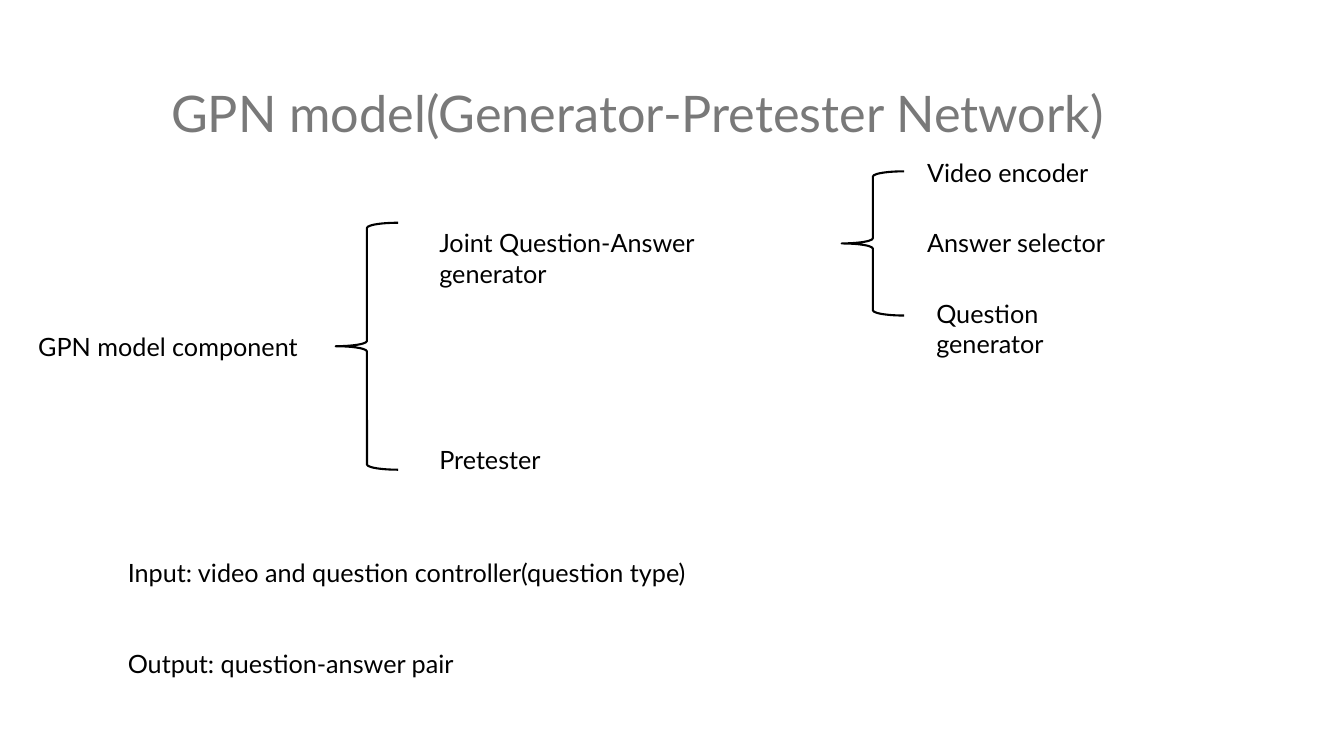
import pptx
import pptx.util
import pptx.dml.color
import pptx.enum.shapes
import pptx.enum.text

Pt = pptx.util.Pt
COLORS = {"title": "797979", "text": "000000", "line": "000000", "fill": "FFFFFF"}
FONT = "Lato"
LABEL_HEIGHT = 29
BRACE_WIDTH = 44.6


def color(name):
    return pptx.dml.color.RGBColor.from_string(COLORS[name])


def add_text(slide, text, left, top, width, height=LABEL_HEIGHT, size=18,
             color_name="text", line_spacing=None, gap=0,
             anchor=pptx.enum.text.MSO_ANCHOR.TOP):
    shape = slide.shapes.add_textbox(Pt(left), Pt(top), Pt(width), Pt(height))
    frame = shape.text_frame
    frame.word_wrap = True
    frame.vertical_anchor = anchor
    frame.text = text
    for index, paragraph in enumerate(frame.paragraphs):
        paragraph.font.name = FONT
        paragraph.font.size = Pt(size)
        paragraph.font.color.rgb = color(color_name)
        if line_spacing:
            paragraph.line_spacing = line_spacing
        if index and gap:
            paragraph.space_before = Pt(gap)


def add_brace(slide, left, top, height):
    shape = slide.shapes.add_shape(
        pptx.enum.shapes.MSO_SHAPE.LEFT_BRACE,
        Pt(left), Pt(top), Pt(BRACE_WIDTH), Pt(height))
    shape.shadow.inherit = False
    shape.fill.solid()
    shape.fill.fore_color.rgb = color("fill")
    shape.line.color.rgb = color("line")
    shape.line.width = Pt(1.5)


def add_title(slide, left, top, width, height):
    add_text(slide, "GPN model(Generator-Pretester Network)", left, top, width, height,
             size=36, color_name="title", line_spacing=0.9,
             anchor=pptx.enum.text.MSO_ANCHOR.MIDDLE)


def add_branch(slide, left, top, height, labels):
    add_brace(slide, left, top, height)
    for text, indent, offset, width in labels:
        add_text(slide, text, left + BRACE_WIDTH + indent, top + offset, width)


def add_components(slide, left, top, height):
    add_text(slide, "GPN model component", left, top + (height - LABEL_HEIGHT) / 2, 219.6)
    add_branch(slide, left + 219.6, top, height, [
        ("Joint Question-Answer generator", 22.3, 0, 274.3),
        ("Pretester", 22.3, 154.8, 160.6),
    ])


def add_generator_parts(slide, left, top, height):
    pitch = 50.4
    parts = [("Video encoder", 9.4, 131.8),
             ("Answer selector", 9.4, 167.8),
             ("Question generator", 15.9, 167)]
    add_branch(slide, left, top, height, [
        (text, indent, index * pitch - 13.7, width)
        for index, (text, indent, width) in enumerate(parts)
    ])


def add_input_output(slide, left, top, width, height):
    add_text(slide,
             "Input: video and question controller(question type)\n"
             "Output: question-answer pair",
             left, top, width, height, gap=43.2)


def main():
    presentation = pptx.Presentation()
    presentation.slide_width = Pt(960)
    presentation.slide_height = Pt(540)
    slide = presentation.slides.add_slide(presentation.slide_layouts[6])
    add_title(slide, 115.2, 59.8, 731.5, 46.8)
    add_components(slide, 20.2, 159.1, 176.4)
    add_generator_parts(slide, 601.2, 122.4, 103)
    add_input_output(slide, 84.2, 394.6, 649.4, 94.3)
    presentation.save("out.pptx")


if __name__ == "__main__":
    main()
